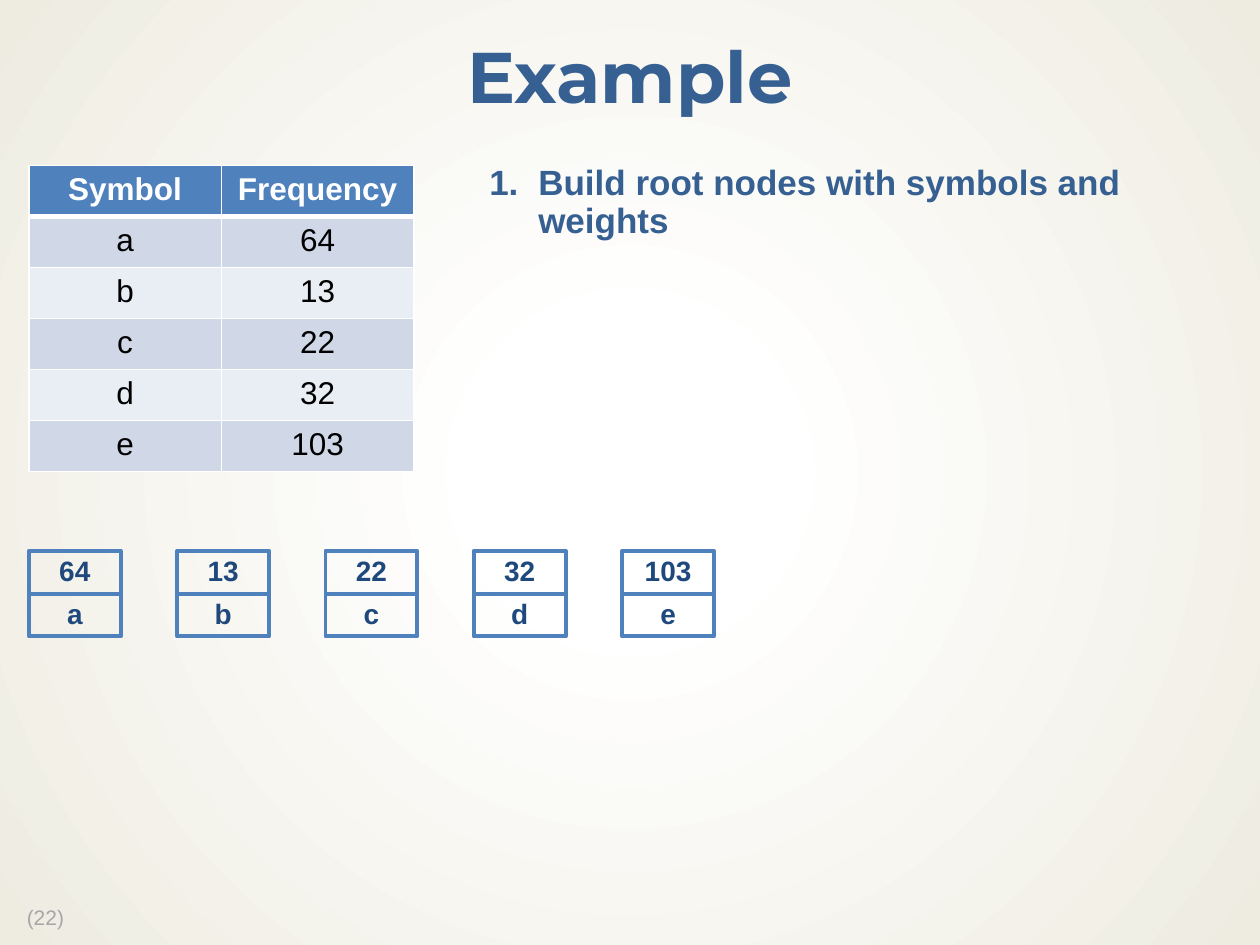
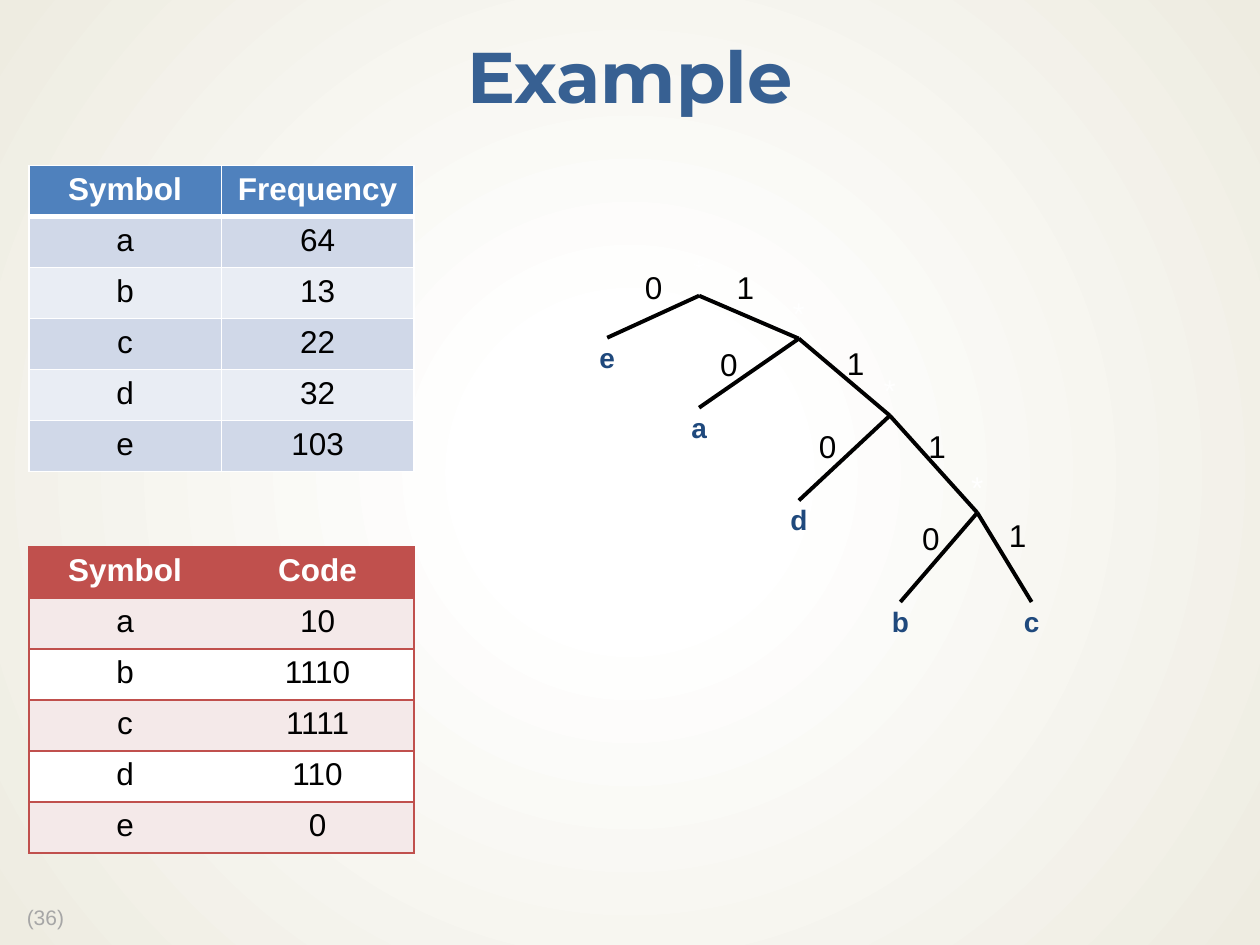
from dataclasses import dataclass

from lxml import etree
from pptx import Presentation
from pptx import util as u
from pptx.dml import color
from pptx.enum import shapes, text
from pptx.oxml import ns

Pt = u.Pt
CENTER = text.PP_ALIGN.CENTER


@dataclass(frozen=True)
class Theme:
    body_font: str = "Arial"
    title_font: str = "Montserrat"
    title: str = "376092"
    label: str = "1F497D"
    blue: str = "4F81BD"
    blue_bands: tuple = ("D0D8E8", "E9EDF4")
    red: str = "C0504D"
    red_bands: tuple = ("F4E9E9", "FFFFFF")
    white: str = "FFFFFF"
    black: str = "000000"
    number: str = "A6A6A6"
    paper: str = "EEECE1"
    title_size: float = 41
    step_size: float = 20
    table_size: float = 18
    label_size: float = 16
    number_size: float = 12
    stroke: float = 2.25


THEME = Theme()
LEFT = 16.5
TITLE_BOX = (0, 12, 720, 68)
NUMBER_BOX = (8.25, 515, 42, 20)
TOP_TABLE_BOX = (LEFT, 94.5, 220, 175)
LOW_TABLE_BOX = (LEFT, 312.5, 220, 175)
NODES_BOX = (LEFT, 314.75, 391.5, 49)
STEP_BOX = (271, 90, 422, 120)
TREE_BOX = (320.5, 140, 296, 229)

FREQUENCIES = [("a", "64"), ("b", "13"), ("c", "22"), ("d", "32"), ("e", "103")]
CODES = [("a", "10"), ("b", "1110"), ("c", "1111"), ("d", "110"), ("e", "0")]

# Each fork of the tree: position, then (end of branch, leaf name, digit offset).
# A branch without a leaf name runs on to the next fork.
FORKS = [
    ((79, 29), [((26.5, 53), "e", (-26, -19.5)), ((136, 53.5), None, (26.5, -19.5))]),
    ((136, 53.5), [((79, 93), "a", (-40, 0)), ((188, 97.5), None, (32.5, -0.5))]),
    ((188, 97.5), [((136, 146), "d", (-35.5, 3)), ((238, 153), None, (27, 3))]),
    ((238, 153), [((194, 204), "b", (-26.5, 0)), ((269, 204), "c", (23, -1.5))]),
]


def rgb(value):
    return color.RGBColor.from_string(value)


def points(box):
    return [Pt(length) for length in box]


def write(frame, words, size, ink, bold=False, font=THEME.body_font, align=CENTER,
          spacing=None):
    frame.text = words
    para = frame.paragraphs[0]
    para.alignment = align
    para.line_spacing = spacing
    for span in para.runs:
        span.font.name = font
        span.font.size = Pt(size)
        span.font.bold = bold
        span.font.color.rgb = rgb(ink)
    return para


def set_insets(frame, across, down):
    frame.margin_left = frame.margin_right = Pt(across)
    frame.margin_top = frame.margin_bottom = Pt(down)


def add_text(page, box, words, size, ink, wrap=False, **style):
    frame = page.shapes.add_textbox(*points(box)).text_frame
    frame.word_wrap = wrap
    write(frame, words, size, ink, **style)
    return frame


# Shared background, kept on the master
def paint_background(master):
    fill = master.background.fill
    fill.solid()
    solid = master.element.xpath("./p:cSld/p:bg/p:bgPr/a:solidFill")[0]
    gradient = etree.fromstring(
        f'<a:gradFill {ns.nsdecls("a")} rotWithShape="1"><a:gsLst>'
        f'<a:gs pos="18000"><a:srgbClr val="{THEME.white}"><a:alpha val="53000"/></a:srgbClr></a:gs>'
        f'<a:gs pos="100000"><a:srgbClr val="{THEME.paper}"/></a:gs></a:gsLst>'
        '<a:path path="circle"><a:fillToRect l="50000" t="50000" r="50000" b="50000"/></a:path>'
        '</a:gradFill>')
    solid.getparent().replace(solid, gradient)


# Title and page number
def add_page(deck, title, number):
    page = deck.slides.add_slide(deck.slide_layouts[5])
    heading = page.shapes.title
    heading.left, heading.top, heading.width, heading.height = points(TITLE_BOX)
    frame = heading.text_frame
    frame.auto_size = text.MSO_AUTO_SIZE.NONE
    frame.vertical_anchor = text.MSO_ANCHOR.MIDDLE
    set_insets(frame, 9.5, 4.5)
    write(frame, title, THEME.title_size, THEME.title, bold=True,
          font=THEME.title_font, spacing=0.9)
    add_text(page, NUMBER_BOX, f"({number})", THEME.number_size, THEME.number,
             align=text.PP_ALIGN.LEFT, spacing=0.9)
    return page


def set_borders(cell, borders):
    """Borders hold (colour, width) for left, right, top, bottom; None draws no line."""
    properties = cell._tc.get_or_add_tcPr()
    for index, (side, border) in enumerate(zip("LRTB", borders)):
        line = etree.Element(ns.qn(f"a:ln{side}"))
        if border:
            ink, width = border
            line.set("w", str(Pt(width)))
            fill = etree.SubElement(line, ns.qn("a:solidFill"))
            etree.SubElement(fill, ns.qn("a:srgbClr"), val=ink)
        else:
            etree.SubElement(line, ns.qn("a:noFill"))
        properties.insert(index, line)


def white_grid(row, column):
    thin, thick = (THEME.white, 1), (THEME.white, 3)
    return thin, thin, thick if row == 1 else thin, thick if row == 0 else thin


def red_rules(row, column):
    rule = (THEME.red, 1)
    return rule if column == 0 else None, rule if column == 1 else None, rule, rule


# Two-column table with a coloured header and banded rows
def add_pair_table(page, box, header, pairs, head_fill, bands, borders):
    rows = [header, *pairs]
    table = page.shapes.add_table(len(rows), 2, *points(box)).table
    for row, values in enumerate(rows):
        table.rows[row].height = Pt(box[3] / len(rows))
        for column, value in enumerate(values):
            cell = table.cell(row, column)
            is_head = row == 0
            cell.fill.solid()
            cell.fill.fore_color.rgb = rgb(head_fill if is_head else bands[(row - 1) % 2])
            write(cell.text_frame, value, THEME.table_size,
                  THEME.white if is_head else THEME.black, bold=is_head)
            set_borders(cell, borders(row, column))


def add_frequency_table(page):
    add_pair_table(page, TOP_TABLE_BOX, ("Symbol", "Frequency"), FREQUENCIES,
                   THEME.blue, THEME.blue_bands, white_grid)


# Row of root nodes: weight above symbol
def add_root_nodes(page, box, pairs):
    left, top, width, height = box
    node_width, node_height = 52.5, height / 2
    pitch = (width - node_width) / (len(pairs) - 1)
    for place, (symbol, weight) in enumerate(pairs):
        group = page.shapes.add_group_shape()
        for level, words in enumerate((weight, symbol)):
            node = group.shapes.add_shape(
                shapes.MSO_SHAPE.RECTANGLE,
                *points((left + place * pitch, top + level * node_height,
                         node_width, node_height)))
            node.shadow.inherit = False
            node.fill.background()
            node.line.color.rgb = rgb(THEME.blue)
            node.line.width = Pt(THEME.stroke)
            write(node.text_frame, words, THEME.label_size, THEME.label,
                  bold=True, spacing=0.9)


# Numbered step with a hanging indent
def add_step(page, box, words):
    frame = add_text(page, box, words, THEME.step_size, THEME.title, wrap=True,
                     bold=True, align=text.PP_ALIGN.LEFT, spacing=0.9)
    set_insets(frame, 8.6, 4.3)
    properties = frame.paragraphs[0]._p.get_or_add_pPr()
    properties.set("marL", str(Pt(28)))
    properties.set("indent", str(-Pt(28)))
    etree.SubElement(properties, ns.qn("a:buFont"), typeface=THEME.body_font)
    etree.SubElement(properties, ns.qn("a:buAutoNum"), type="arabicPeriod")


def add_branch(page, start, end):
    branch = page.shapes.add_connector(shapes.MSO_CONNECTOR.STRAIGHT, *points(start + end))
    branch.line.color.rgb = rgb(THEME.black)
    branch.line.width = Pt(THEME.stroke)
    etree.SubElement(branch._element.spPr, ns.qn("a:effectLst"))


# Code tree: branches, digits, fork marks and leaf names
def add_code_tree(page, box, forks):
    left, top = box[:2]
    leaf_width, digit_width, mark_width, text_height = 52.5, 24.5, 21.5, 29
    for (fork_x, fork_y), branches in forks:
        x, y = left + fork_x, top + fork_y
        for digit, ((end_x, end_y), leaf, (shift_x, shift_y)) in enumerate(branches):
            end = (left + end_x, top + end_y)
            add_branch(page, (x, y), end)
            add_text(page, (x + shift_x - digit_width / 2, y + shift_y,
                            digit_width, text_height),
                     str(digit), THEME.table_size, THEME.black)
            if leaf:
                add_text(page, (end[0] - leaf_width / 2, end[1], leaf_width, 24.5),
                         leaf, THEME.label_size, THEME.label, wrap=True,
                         bold=True, spacing=0.9)
        add_text(page, (x - mark_width / 2, y - text_height, mark_width, text_height),
                 "*", THEME.table_size, THEME.white)


def build_roots_page(deck):
    page = add_page(deck, "Example", 22)
    add_frequency_table(page)
    add_root_nodes(page, NODES_BOX, FREQUENCIES)
    add_step(page, STEP_BOX, "Build root nodes with symbols and weights")


def build_codes_page(deck):
    page = add_page(deck, "Example", 36)
    add_frequency_table(page)
    add_code_tree(page, TREE_BOX, FORKS)
    add_pair_table(page, LOW_TABLE_BOX, ("Symbol", "Code"), CODES,
                   THEME.red, THEME.red_bands, red_rules)


deck = Presentation()
deck.slide_width, deck.slide_height = Pt(720), Pt(540)
paint_background(deck.slide_master)
build_roots_page(deck)
build_codes_page(deck)
deck.save("out.pptx")
